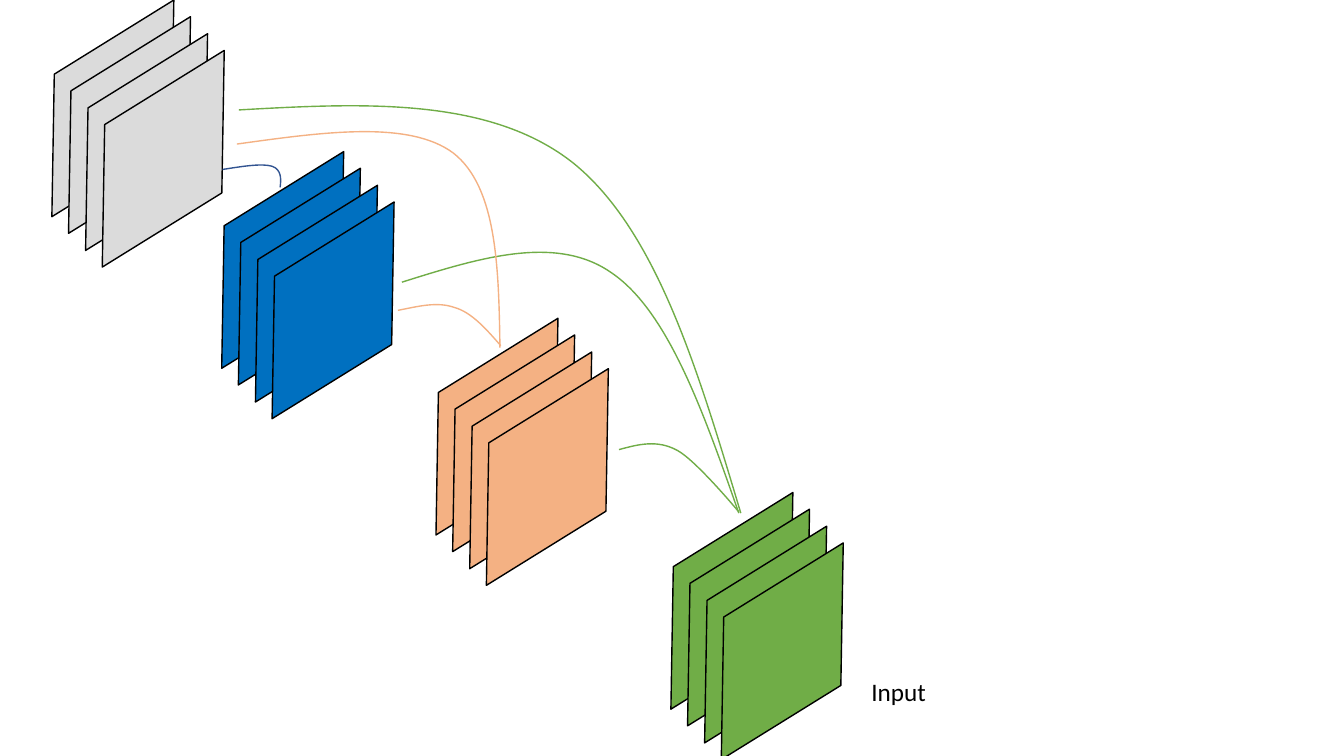
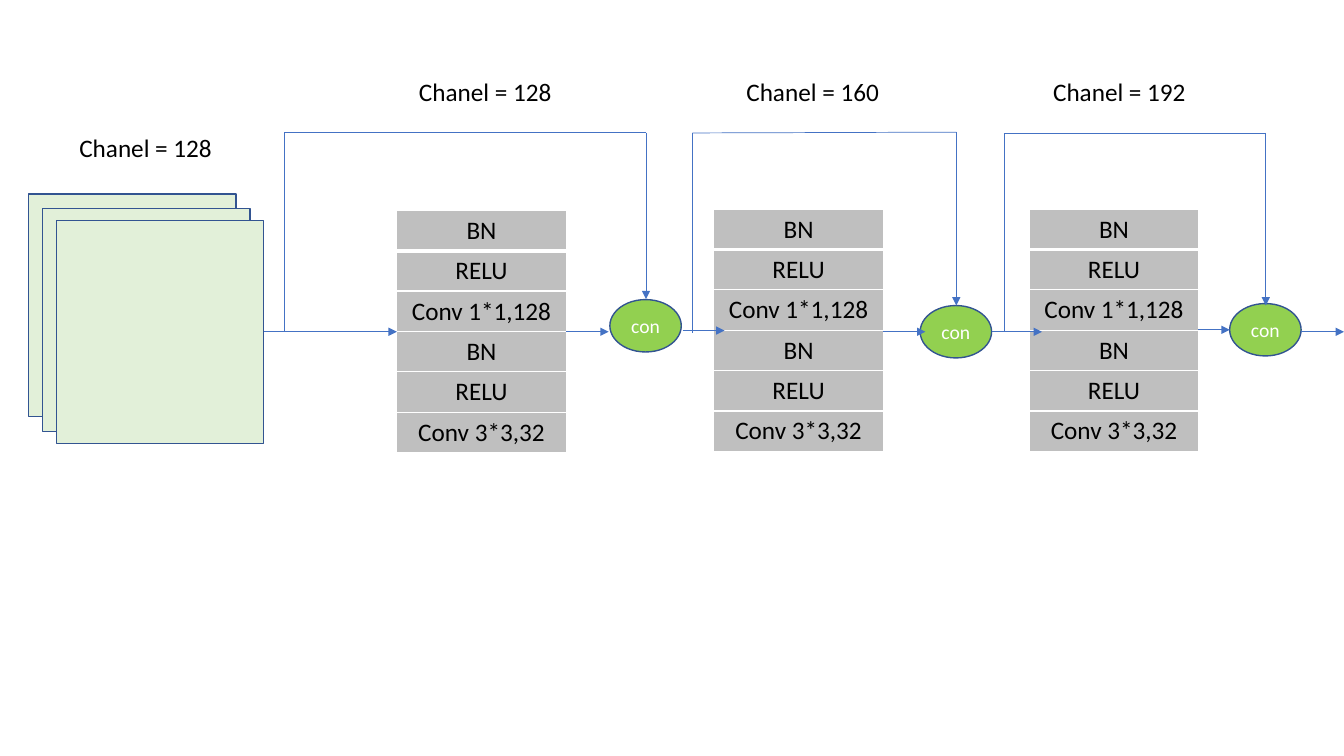
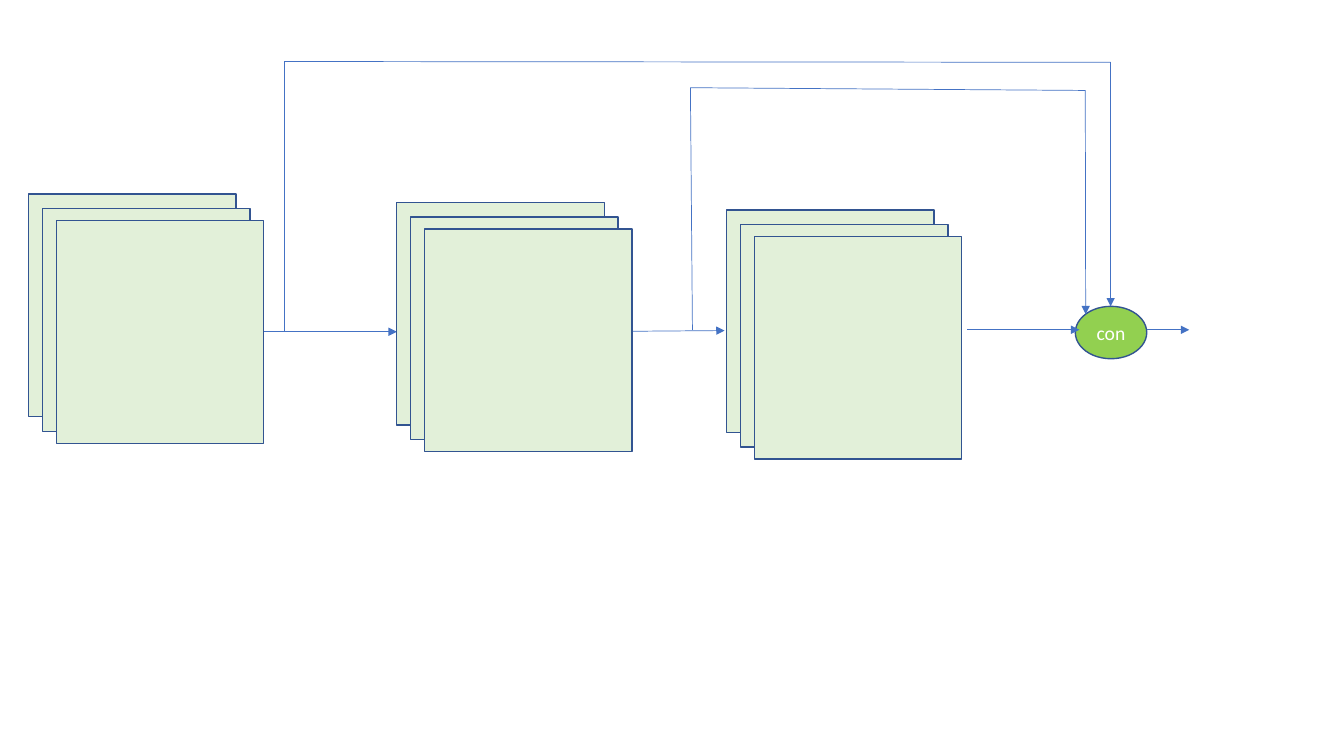
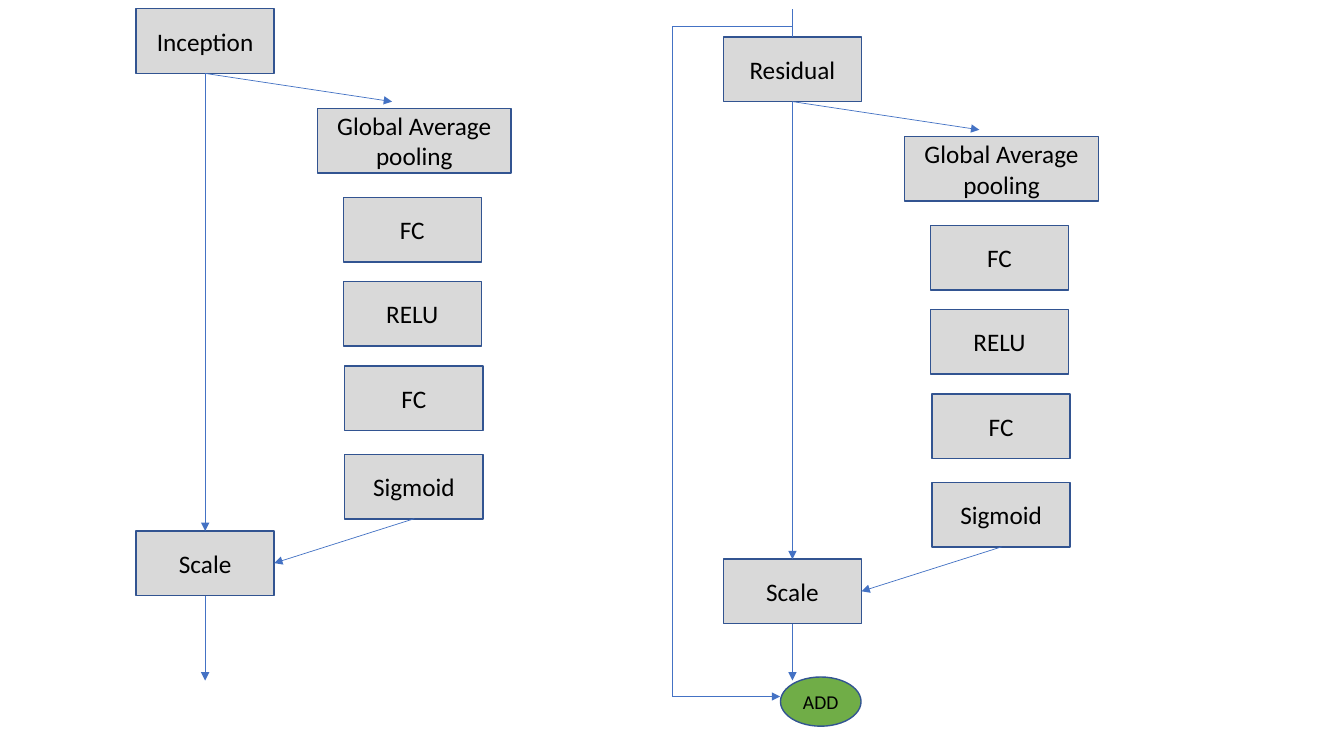
import lxml.etree
import pptx
import pptx.dml.color
import pptx.enum.shapes
import pptx.enum.text
import pptx.oxml.ns
import pptx.util

Cm = pptx.util.Cm
Pt = pptx.util.Pt
SHAPE = pptx.enum.shapes.MSO_SHAPE
ALIGN = pptx.enum.text.PP_ALIGN
qn = pptx.oxml.ns.qn
SubElement = lxml.etree.SubElement

FONT = "Calibri"
COLORS = {
    "black": "000000", "white": "FFFFFF", "navy": "325491", "link": "4472C4",
    "silver": "DBDBDB", "blue": "0070C0", "orange": "F4B183", "green": "70AD47",
    "lime": "92D050", "mint": "E2F0D9", "layer": "BFBFBF", "block": "D9D9D9",
}

SHEET_SIZE = (5.49, 3.02)
SHEET_OFFSETS = [0, 0.42, 0.85, 1.27]
DENSE_STACKS = [
    ("silver", 0.10, 1.22),
    ("blue", 4.38, 5.04),
    ("orange", 9.78, 9.24),
    ("green", 15.70, 13.63),
]
DENSE_CURVES = [
    ("green", [(6.02, 2.77), (9.17, 2.59), (12.34, 2.44), (14.45, 4.11),
               (16.56, 5.82), (17.60, 9.37), (18.67, 12.93)]),
    ("green", [(10.13, 7.11), (12.07, 6.50), (14.02, 5.89), (15.42, 6.88),
               (16.84, 7.85), (17.73, 10.39), (18.62, 12.93)]),
    ("green", [(15.60, 11.33), (16.08, 11.20), (16.56, 11.07), (17.07, 11.35),
               (17.55, 11.61), (18.62, 12.90), (18.62, 12.90)]),
    ("orange", [(5.97, 3.63), (8.13, 3.33), (10.31, 3.02), (11.43, 3.86),
                (12.52, 4.72), (12.57, 6.73), (12.60, 8.76)]),
    ("orange", [(10.03, 7.82), (10.54, 7.72), (11.02, 7.59), (11.46, 7.75),
                (11.89, 7.87), (12.27, 8.31), (12.62, 8.71)]),
    ("navy", [(5.61, 4.27), (6.12, 4.19), (6.60, 4.11), (6.86, 4.19),
              (7.09, 4.27), (7.09, 4.50), (7.06, 4.72)]),
]
CURVE_STEPS = 24

LAYERS = ["BN", "RELU", "Conv 1*1,128", "BN", "RELU", "Conv 3*3,32"]
LAYER_SIZE = (4.27, 0.89)
TABLE_HEIGHT = 6.10
LAYER_TABLES = [(10.00, 5.30), (25.94, 5.27), (17.99, 5.27)]
CHANNELS = [
    ("Chanel = 128", 1.75, 3.20),
    ("Chanel = 128", 10.31, 1.80),
    ("Chanel = 160", 18.56, 1.80),
    ("Chanel = 192", 26.29, 1.80),
]
MAP_SIZE = (5.23, 5.61)
MAP_OFFSETS = [(0, 0), (0.35, 0.37), (0.70, 0.67)]
CON_SIZE = (1.80, 1.32)

CHAIN_MAPS = [(0.72, 4.89)]
CHAIN_CONS = [(15.37, 7.55), (23.19, 7.70), (30.99, 7.65)]
CHAIN_ROUTES = [
    [(6.63, 8.36), (10.00, 8.36)],
    [(7.16, 8.36), (7.16, 3.34), (16.28, 3.34), (16.28, 7.54)],
    [(14.27, 8.36), (15.34, 8.36)],
    [(17.20, 8.33), (18.26, 8.33)],
    [(17.45, 8.38), (17.45, 3.35), (24.10, 3.33), (24.10, 7.70)],
    [(22.25, 8.36), (23.32, 8.36)],
    [(24.99, 8.36), (26.26, 8.36)],
    [(25.30, 8.36), (25.30, 3.35), (31.90, 3.35), (31.90, 7.70)],
    [(30.20, 8.31), (30.99, 8.31)],
    [(32.79, 8.36), (33.87, 8.36)],
]

MERGE_MAPS = [(0.72, 4.89), (10.00, 5.10), (18.31, 5.29)]
MERGE_CONS = [(27.10, 7.72)]
MERGE_ROUTES = [
    [(6.63, 8.36), (10.00, 8.36)],
    [(7.16, 8.36), (7.16, 1.55), (27.99, 1.57), (27.99, 7.72)],
    [(14.27, 8.36), (18.26, 8.33)],
    [(17.45, 8.31), (17.40, 2.21), (27.35, 2.28), (27.36, 7.92)],
    [(24.38, 8.31), (27.20, 8.31)],
    [(28.91, 8.31), (29.97, 8.31)],
]

BLOCK_SIZE = (3.48, 1.63)
POOL_WIDTH = 4.88
SCALE_TOP = 13.16
EXIT_Y = 17.15
SE_MODULES = [("Inception", 3.43, 0.22), ("Residual", 18.23, 0.93)]
SE_BLOCKS = [
    ("Global Average pooling", 4.57, 2.51, POOL_WIDTH),
    ("FC", 5.22, 4.75, BLOCK_SIZE[0]),
    ("RELU", 5.22, 6.87, BLOCK_SIZE[0]),
    ("FC", 5.26, 9.00, BLOCK_SIZE[0]),
    ("Sigmoid", 5.26, 11.23, BLOCK_SIZE[0]),
    ("Scale", 0, SCALE_TOP, BLOCK_SIZE[0]),
]
SE_ROUTES = [
    [(1.74, 1.63), (6.45, 2.34)],
    [(1.74, 1.63), (1.74, SCALE_TOP)],
    [(7.01, 12.85), (3.48, 13.97)],
]
RESIDUAL_ENTRY = [(19.97, 0.23), (19.97, 0.93)]
RESIDUAL_SKIP = [(19.97, 0.66), (16.94, 0.66), (16.94, 17.55), (19.66, 17.55)]
ADD_NODE = (19.67, 17.06, 2.03, 1.24)


def rgb(color):
    return pptx.dml.color.RGBColor.from_string(COLORS[color])


def write(tf, text, size=18, color="black", align=ALIGN.CENTER):
    tf.text = text
    p = tf.paragraphs[0]
    p.alignment = align
    font = p.runs[0].font
    font.name, font.size, font.bold = FONT, Pt(size), False
    font.color.rgb = rgb(color)


def outline(sp, color):
    sp.shadow.inherit = False
    sp.line.color.rgb = rgb(color)
    sp.line.width = Pt(1)


def add_box(s, kind, x, y, w, h, fill, line="navy"):
    sp = s.shapes.add_shape(kind, Cm(x), Cm(y), Cm(w), Cm(h))
    sp.fill.solid()
    sp.fill.fore_color.rgb = rgb(fill)
    outline(sp, line)
    return sp


def add_node(s, kind, x, y, w, h, fill, text, size=18, color="black"):
    tf = add_box(s, kind, x, y, w, h, fill).text_frame
    tf.word_wrap = True
    tf.vertical_anchor = pptx.enum.text.MSO_ANCHOR.MIDDLE
    write(tf, text, size, color)


def add_label(s, text, x, y, w):
    tf = s.shapes.add_textbox(Cm(x), Cm(y), Cm(w), Cm(1.02)).text_frame
    tf.word_wrap = True
    write(tf, text, align=ALIGN.LEFT)


def add_route(s, points, arrow=True):
    for (x1, y1), (x2, y2) in zip(points, points[1:]):
        c = s.shapes.add_connector(pptx.enum.shapes.MSO_CONNECTOR.STRAIGHT,
                                   Cm(x1), Cm(y1), Cm(x2), Cm(y2))
        c.line.color.rgb = rgb("link")
        c.line.width = Pt(0.5)
        SubElement(c.element.spPr, qn("a:effectLst"))
    if arrow:
        ln = c.element.spPr.find(qn("a:ln"))
        SubElement(ln, qn("a:tailEnd"), type="triangle")


def bezier(a, b, c, d, t):
    u = 1 - t
    return u**3 * a + 3 * u * u * t * b + 3 * u * t * t * c + t**3 * d


def add_curve(s, color, knots):
    starts = range(0, len(knots) - 1, 3)
    extent = [
        tuple(Cm(bezier(*axis, k / CURVE_STEPS)) for axis in zip(*knots[i:i + 4]))
        for i in starts
        for k in range(1, CURVE_STEPS + 1)
    ]
    builder = s.shapes.build_freeform(*map(Cm, knots[0]))
    builder.add_line_segments(extent, close=False)
    sp = builder.convert_to_shape()
    outline_path = next(sp.element.iter(qn("a:path")))
    for segment in outline_path.findall(qn("a:lnTo")):
        outline_path.remove(segment)
    for i in starts:
        arc = SubElement(outline_path, qn("a:cubicBezTo"))
        for x, y in knots[i + 1:i + 4]:
            SubElement(arc, qn("a:pt"), x=str(Cm(x) - sp.left), y=str(Cm(y) - sp.top))
    sp.fill.background()
    outline(sp, color)


def set_borders(cell, bottom):
    tc_pr = cell._tc.get_or_add_tcPr()
    for side, width in [("L", 1), ("R", 1), ("T", 1), ("B", bottom)]:
        ln = SubElement(tc_pr, qn("a:ln" + side), w=str(Pt(width)))
        fill = SubElement(ln, qn("a:solidFill"))
        SubElement(fill, qn("a:srgbClr"), val=COLORS["white"])


def add_layer_table(s, x, y):
    w, h = LAYER_SIZE
    frame = s.shapes.add_table(len(LAYERS), 1, Cm(x), Cm(y), Cm(w), Cm(TABLE_HEIGHT))
    for i, layer in enumerate(LAYERS):
        frame.table.rows[i].height = Cm(h)
        cell = frame.table.cell(i, 0)
        set_borders(cell, 3 if i == 0 else 1)
        cell.fill.solid()
        cell.fill.fore_color.rgb = rgb("layer")
        write(cell.text_frame, layer)
    frame.height = Cm(TABLE_HEIGHT)


def add_network(s, maps, cons, routes):
    for x, y in cons:
        add_node(s, SHAPE.OVAL, x, y, *CON_SIZE, "lime", "con", 14, "white")
    for route in routes:
        add_route(s, route)
    for x, y in maps:
        for dx, dy in MAP_OFFSETS:
            add_box(s, SHAPE.RECTANGLE, x + dx, y + dy, *MAP_SIZE, "mint")


def add_se_module(s, name, x, y):
    w, h = BLOCK_SIZE
    for text, dx, dy, width in [(name, 0, 0, w)] + SE_BLOCKS:
        add_node(s, SHAPE.RECTANGLE, x + dx, y + dy, width, h, "block", text)
    for route in SE_ROUTES:
        add_route(s, [(x + dx, y + dy) for dx, dy in route])
    axis = x + w / 2
    add_route(s, [(axis, y + SCALE_TOP + h), (axis, EXIT_Y)])


prs = pptx.Presentation()
prs.slide_width, prs.slide_height = Cm(33.87), Cm(19.05)
dense, chain, merge, excite = [
    prs.slides.add_slide(prs.slide_layouts[6]) for _ in range(4)
]

for color, x, y in DENSE_STACKS:
    for shift in SHEET_OFFSETS:
        sp = add_box(dense, SHAPE.PARALLELOGRAM, x + shift, y + shift,
                     *SHEET_SIZE, color, "black")
        sp.adjustments[0] = 0.644
        sp.rotation = 328.2
for color, knots in DENSE_CURVES:
    add_curve(dense, color, knots)
add_label(dense, "Input", 21.71, 16.92, 5.49)

for x, y in LAYER_TABLES:
    add_layer_table(chain, x, y)
for text, x, y in CHANNELS:
    add_label(chain, text, x, y, 3.96)
add_network(chain, CHAIN_MAPS, CHAIN_CONS, CHAIN_ROUTES)

add_network(merge, MERGE_MAPS, MERGE_CONS, MERGE_ROUTES)

for name, x, y in SE_MODULES:
    add_se_module(excite, name, x, y)
add_route(excite, RESIDUAL_ENTRY, arrow=False)
add_route(excite, RESIDUAL_SKIP)
add_node(excite, SHAPE.OVAL, *ADD_NODE, "green", "ADD", 14)

prs.save("out.pptx")
